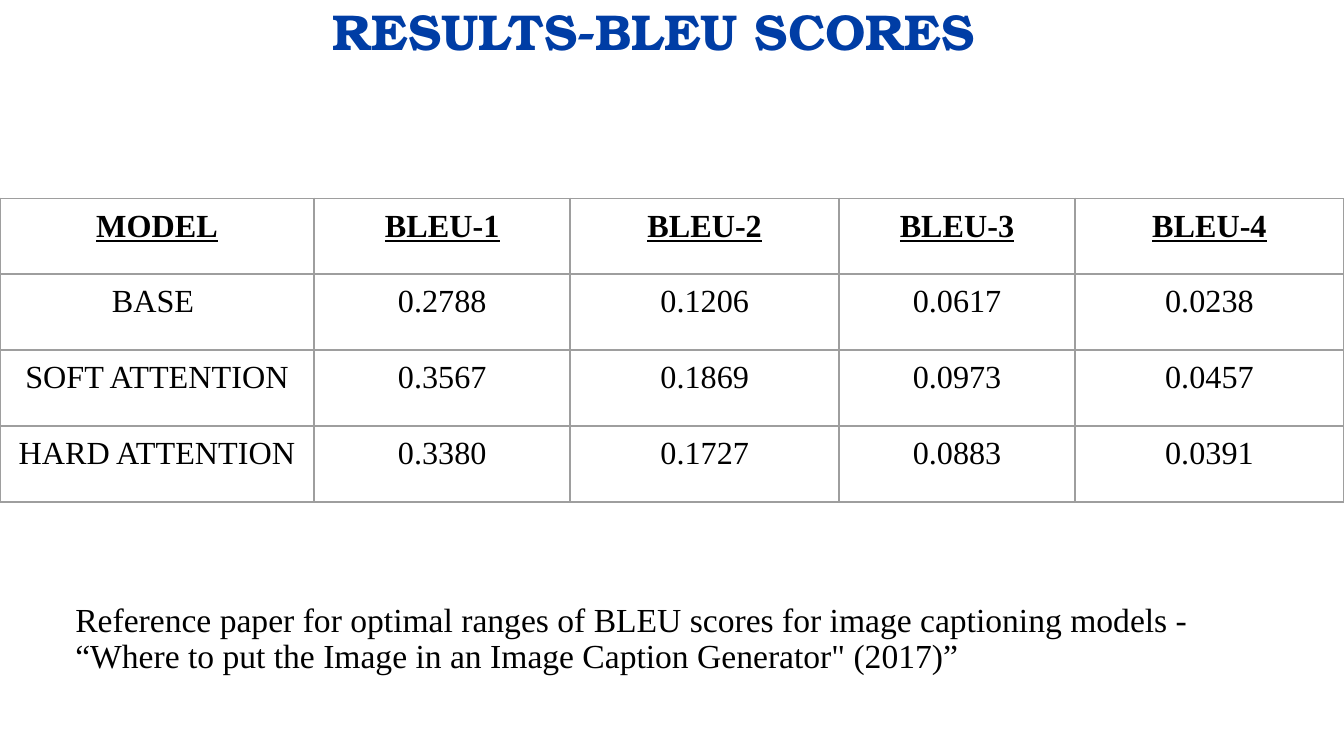
from lxml import etree
from pptx import Presentation
from pptx.dml.color import RGBColor
from pptx.enum.text import MSO_AUTO_SIZE, PP_ALIGN
from pptx.oxml.ns import qn
from pptx.util import Cm, Pt

CENTER, LEFT = PP_ALIGN.CENTER, PP_ALIGN.LEFT
GROW = MSO_AUTO_SIZE.SHAPE_TO_FIT_TEXT
SERIF = "Times New Roman"

TITLE = "RESULTS-BLEU SCORES"
ROWS = [
    ("MODEL", "BLEU-1", "BLEU-2", "BLEU-3", "BLEU-4"),
    ("BASE ", "0.2788", "0.1206", "0.0617", "0.0238"),
    ("SOFT ATTENTION", "0.3567", "0.1869", "0.0973", "0.0457"),
    ("HARD ATTENTION", "0.3380", "0.1727", "0.0883", "0.0391"),
]
NOTE = (
    "Reference paper for optimal ranges of BLEU scores for image captioning "
    "models - “Where to put the Image in an Image Caption Generator\" (2017)”"
)
WIDTHS = (7.92, 6.45, 6.78, 5.94, 6.78)
ROW = 1.91
TOP = 5
PAD = 0.25


def paint(text):
    """Turn a hex string into a colour."""
    return RGBColor.from_string(text)


def write(frame, text, size, face=SERIF, color="000000", bold=False,
          line=False, align=LEFT, space=None):
    """Put formatted text in the first paragraph of a frame."""
    para = frame.paragraphs[0]
    para.alignment = align
    if space:
        para.line_spacing = space
    run = para.add_run()
    run.text = text
    font = run.font
    font.name, font.size = face, Pt(size)
    font.bold, font.underline = bold, line
    font.color.rgb = paint(color)


def inset(item, left, top, right, bottom):
    """Set the four margins of a frame or cell."""
    item.margin_left, item.margin_top = Cm(left), Cm(top)
    item.margin_right, item.margin_bottom = Cm(right), Cm(bottom)


def add_box(slide, place, pads):
    """Add a wrapping text box and return its frame."""
    frame = slide.shapes.add_textbox(*map(Cm, place)).text_frame
    frame.word_wrap = True
    frame.auto_size = GROW
    inset(frame, *pads)
    return frame


def edge(cell, color, width):
    """Draw all four borders of a cell."""
    props = cell._tc.get_or_add_tcPr()
    for spot, side in enumerate(("a:lnL", "a:lnR", "a:lnT", "a:lnB")):
        line = etree.Element(qn(side), w=str(Pt(width)))
        fill = etree.SubElement(line, qn("a:solidFill"))
        etree.SubElement(fill, qn("a:srgbClr"), val=color)
        props.insert(spot, line)


def add_scores(slide):
    """Add the table of scores."""
    size = len(ROWS), len(WIDTHS)
    place = 0, TOP, sum(WIDTHS), ROW * len(ROWS)
    table = slide.shapes.add_table(*size, *map(Cm, place)).table
    table.first_row = table.horz_banding = False
    for col, width in zip(table.columns, WIDTHS):
        col.width = Cm(width)
    for r, row in enumerate(ROWS):
        table.rows[r].height = Cm(ROW)
        for c, text in enumerate(row):
            cell = table.cell(r, c)
            cell.fill.background()
            inset(cell, PAD, PAD, PAD, PAD)
            edge(cell, "9E9E9E", 1.5)
            write(cell.text_frame, text, 23, bold=r == 0, line=r == 0,
                  align=CENTER)


def main():
    """Build the slide and save it."""
    deck = Presentation()
    deck.slide_width, deck.slide_height = Cm(33.87), Cm(19.05)
    slide = deck.slides.add_slide(deck.slide_layouts[6])
    head = add_box(slide, (0.15, 0, 33.55, 1.55), (0, 0, 0.91, 0))
    write(head, TITLE, 36, face="TeX Gyre Bonum", color="003DA5", bold=True,
          align=CENTER)
    add_scores(slide)
    foot = add_box(slide, (1.65, 14.96, 30.58, 2.36), (PAD, PAD, PAD, PAD))
    write(foot, NOTE, 24, space=0.9)
    deck.save("out.pptx")


if __name__ == "__main__":
    main()
